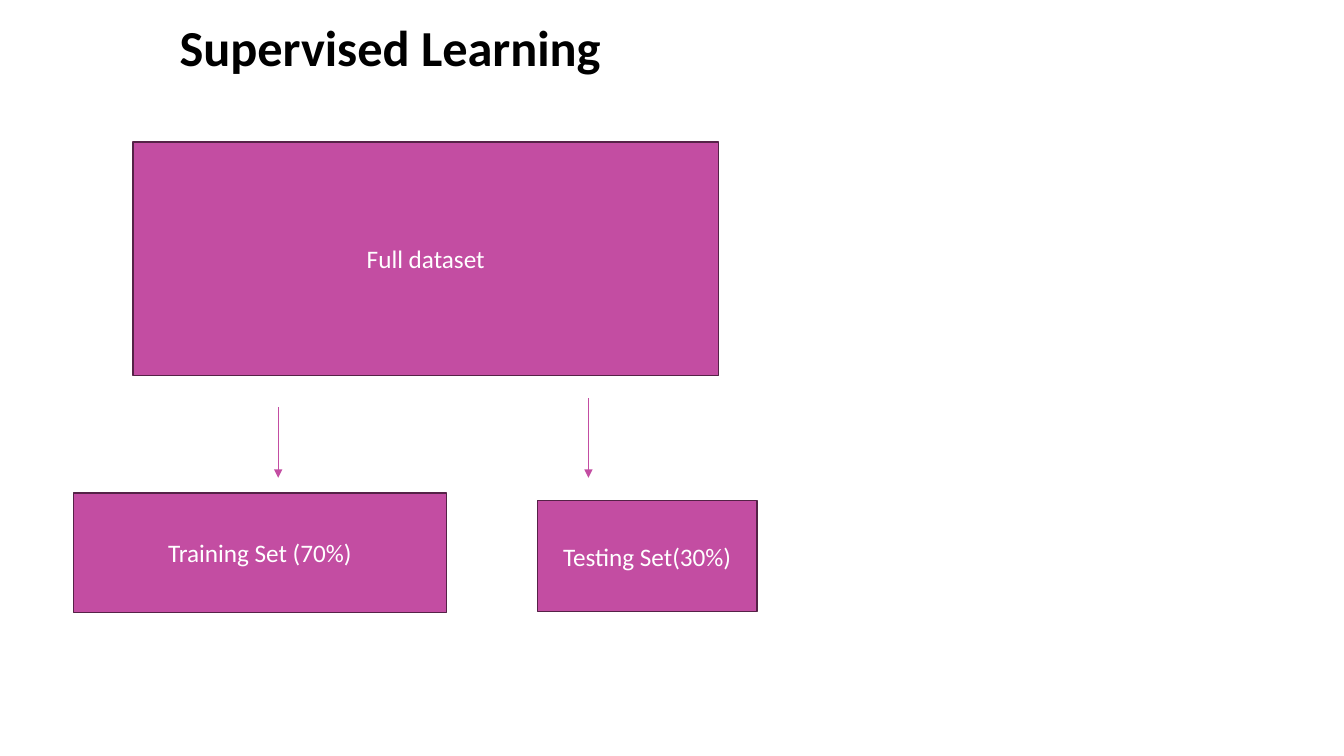
"""Build the supervised learning slide with its data split."""
from lxml import etree
from pptx import Presentation
from pptx import util as u
from pptx.dml.color import RGBColor
from pptx.enum import shapes, text
from pptx.oxml.ns import qn

HUES = {"fill": "C34DA2", "edge": "552247", "title": "000000", "label": "FFFFFF"}


class Deck:
    """Holds the style and the current slide."""

    font = "Calibri"

    def __init__(self, wide, high):
        """Open a deck with one title-only slide."""
        self.prs = Presentation()
        self.prs.slide_width, self.prs.slide_height = u.Cm(wide), u.Cm(high)
        self.slide = self.prs.slides.add_slide(self.prs.slide_layouts[5])

    def hue(self, name):
        """Return a named colour."""
        return RGBColor.from_string(HUES[name])

    def label(self, frame, words, size, hue, align, anchor, bold=False):
        """Add one styled run to a text frame."""
        frame.word_wrap = True
        frame.auto_size = text.MSO_AUTO_SIZE.NONE
        frame.vertical_anchor = anchor
        para = frame.paragraphs[0]
        para.alignment = align
        run = para.add_run()
        run.text = words
        run.font.name, run.font.size, run.font.bold = self.font, u.Pt(size), bold
        run.font.color.rgb = self.hue(hue)
        return para

    def title(self, words, left, top, wide, high):
        """Place and format the title."""
        head = self.slide.shapes.title
        head.left, head.top = u.Cm(left), u.Cm(top)
        head.width, head.height = u.Cm(wide), u.Cm(high)
        para = self.label(head.text_frame, words, 36, "title",
                          text.PP_ALIGN.LEFT, text.MSO_ANCHOR.TOP, True)
        para.line_spacing = 0.9

    def box(self, words, left, top, wide, high):
        """Add a labelled box."""
        rect = self.slide.shapes.add_shape(
            shapes.MSO_SHAPE.RECTANGLE, *map(u.Cm, (left, top, wide, high)))
        rect.shadow.inherit = False
        rect.fill.solid()
        rect.fill.fore_color.rgb = self.hue("fill")
        rect.line.color.rgb = self.hue("edge")
        rect.line.width = u.Pt(1)
        self.label(rect.text_frame, words, 18, "label",
                   text.PP_ALIGN.CENTER, text.MSO_ANCHOR.MIDDLE)

    def arrow(self, x, top, end):
        """Add an arrow that points down."""
        link = self.slide.shapes.add_connector(
            shapes.MSO_CONNECTOR.STRAIGHT, *map(u.Cm, (x, top, x, end)))
        link.line.color.rgb = self.hue("fill")
        link.line.width = u.Pt(0.5)
        props = link._element.spPr
        etree.SubElement(props.find(qn("a:ln")), qn("a:tailEnd"), type="triangle")
        etree.SubElement(props, qn("a:effectLst"))


def main():
    """Draw the slide and save it."""
    deck = Deck(33.87, 19.05)
    deck.title("Supervised Learning", 4.27, 0.46, 29.59, 3.15)
    deck.box("Full dataset", 3.35, 3.58, 14.76, 5.89)
    deck.box("Testing Set(30%)", 13.54, 12.62, 5.54, 2.79)
    deck.box("Training Set (70%)", 1.85, 12.42, 9.4, 3.02)
    for x, top in ((7.01, 10.26), (14.83, 10.03)):
        deck.arrow(x, top, 12.04)
    deck.prs.save("out.pptx")


if __name__ == "__main__":
    main()
